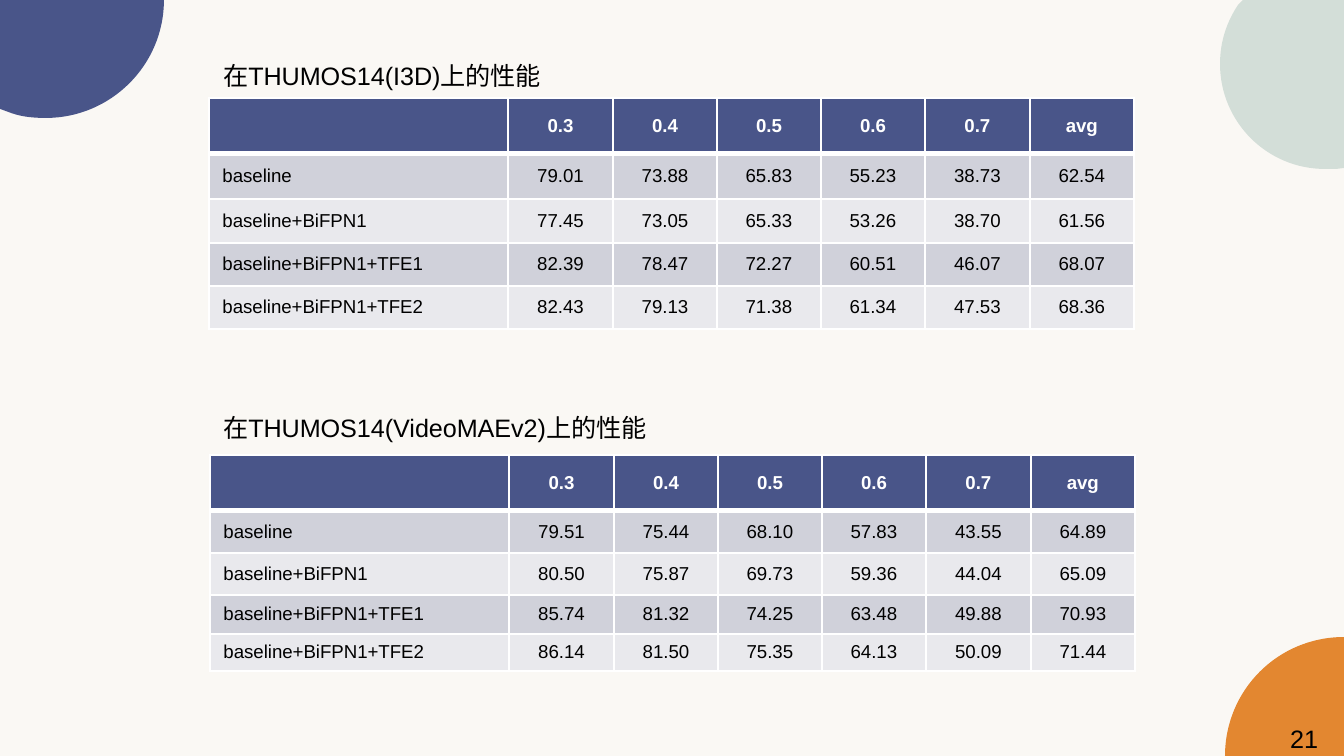
import lxml.etree
import pptx
import pptx.dml.color
import pptx.enum.text
import pptx.oxml.ns
import pptx.util

EMU_PER_PX = 914400 / 134.4
WIDTH, HEIGHT = 1344, 756
FONT = "Arial"
COLORS = {
    "background": "FAF8F4",
    "navy": "495589",
    "orange": "E38730",
    "sage": "D3DED8",
    "band_dark": "D0D1DA",
    "band_light": "E9E9ED",
    "white": "FFFFFF",
    "black": "000000",
}

# Each step is a line's end (x, y) or a curve's two control points and end.
NAVY_CORNER = [(0, 0), (164, 0), (164, 66, 110, 118, 46, 118), (34, 118, 22, 117, 11, 113), (0, 109)]
ORANGE_CORNER = [(WIDTH, 637), (1278, 637, 1225, 690, 1225, HEIGHT), (WIDTH, HEIGHT)]
SAGE_CORNER = [
    (1243, 0), (WIDTH, 0), (WIDTH, 168), (1336, 169), (1333, 169, 1329, 169, 1325, 169),
    (1267, 169, 1220, 122, 1220, 64), (1220, 43, 1226, 23, 1238, 5),
]

HEADER = ["", "0.3", "0.4", "0.5", "0.6", "0.7", "avg"]
COLUMN_WIDTHS = [299, 105, 104, 104, 104, 105, 104]
METHODS = ["baseline", "baseline+BiFPN1", "baseline+BiFPN1+TFE1", "baseline+BiFPN1+TFE2"]
I3D_SCORES = [
    "79.01 73.88 65.83 55.23 38.73 62.54",
    "77.45 73.05 65.33 53.26 38.70 61.56",
    "82.39 78.47 72.27 60.51 46.07 68.07",
    "82.43 79.13 71.38 61.34 47.53 68.36",
]
VIDEOMAE_SCORES = [
    "79.51 75.44 68.10 57.83 43.55 64.89",
    "80.50 75.87 69.73 59.36 44.04 65.09",
    "85.74 81.32 74.25 63.48 49.88 70.93",
    "86.14 81.50 75.35 64.13 50.09 71.44",
]


def px(n):
    return pptx.util.Emu(round(n * EMU_PER_PX))


def rgb(name):
    return pptx.dml.color.RGBColor.from_string(COLORS[name])


def qn(tag):
    return pptx.oxml.ns.qn(tag)


class SlideBuilder:
    def __init__(self, slide):
        self.slide = slide
        fill = slide.background.fill
        fill.solid()
        fill.fore_color.rgb = rgb("background")

    def outline(self, steps, color):
        """Draw a filled outline of lines and curves."""
        ends = [(px(step[-2]), px(step[-1])) for step in steps]
        builder = self.slide.shapes.build_freeform(*ends[0])
        builder.add_line_segments(ends[1:], close=True)
        sp = builder.convert_to_shape()
        sp.shadow.inherit = False
        sp.fill.solid()
        sp.fill.fore_color.rgb = rgb(color)
        sp.line.fill.background()
        segments = list(sp._element.iter(qn("a:lnTo")))
        for segment, step in zip(segments, steps[1:]):
            if len(step) == 6:
                self.curve(sp, segment, step)

    def curve(self, sp, segment, step):
        """Turn a line segment of a freeform into a cubic curve."""
        bezier = lxml.etree.Element(qn("a:cubicBezTo"))
        for x, y in zip(step[::2], step[1::2]):
            pt = lxml.etree.SubElement(bezier, qn("a:pt"))
            pt.set("x", str(px(x) - sp.left))
            pt.set("y", str(px(y) - sp.top))
        segment.getparent().replace(segment, bezier)

    def run(self, p, text, size, color="black", bold=False):
        r = p.add_run()
        r.text = text
        r.font.name = FONT
        r.font.size = pptx.util.Pt(size)
        r.font.bold = bold
        r.font.color.rgb = rgb(color)

    def text(self, left, top, width, text):
        sp = self.slide.shapes.add_textbox(px(left), px(top), px(width), px(44))
        tf = sp.text_frame
        tf.word_wrap = True
        tf.auto_size = pptx.enum.text.MSO_AUTO_SIZE.SHAPE_TO_FIT_TEXT
        self.run(tf.paragraphs[0], text, 13.5)

    def borders(self, cell, widths):
        """Add white borders, with widths in points by side (L, R, T, B)."""
        tc_pr = cell._tc.get_or_add_tcPr()
        for side, width in widths.items():
            ln = lxml.etree.SubElement(tc_pr, qn(f"a:ln{side}"))
            ln.set("w", str(pptx.util.Pt(width)))
            fill = lxml.etree.SubElement(ln, qn("a:solidFill"))
            color = lxml.etree.SubElement(fill, qn("a:srgbClr"))
            color.set("val", COLORS["white"])

    def cell(self, cell, text, row, column):
        self.borders(cell, {"L": 1, "R": 1, "T": 3 if row == 1 else 1, "B": 3 if row == 0 else 1})
        cell.fill.solid()
        band = "band_dark" if row % 2 else "band_light"
        cell.fill.fore_color.rgb = rgb(band if row else "navy")
        cell.vertical_anchor = pptx.enum.text.MSO_ANCHOR.MIDDLE
        if text:
            p = cell.text_frame.paragraphs[0]
            if column:
                p.alignment = pptx.enum.text.PP_ALIGN.CENTER
            self.run(p, text, 10, "black" if row else "white", bold=row == 0)

    def table(self, left, top, row_heights, scores):
        rows = [HEADER] + [[method, *line.split()] for method, line in zip(METHODS, scores)]
        table = self.slide.shapes.add_table(
            len(rows), len(HEADER), px(left), px(top), px(sum(COLUMN_WIDTHS)), px(sum(row_heights))
        ).table
        for column, width in zip(table.columns, COLUMN_WIDTHS):
            column.width = px(width)
        for i, (height, values) in enumerate(zip(row_heights, rows)):
            table.rows[i].height = px(height)
            for j, value in enumerate(values):
                self.cell(table.cell(i, j), value, i, j)


def main():
    prs = pptx.Presentation()
    prs.slide_width, prs.slide_height = px(WIDTH), px(HEIGHT)
    s = SlideBuilder(prs.slides.add_slide(prs.slide_layouts[6]))

    s.outline(NAVY_CORNER, "navy")
    s.outline(ORANGE_CORNER, "orange")
    s.outline(SAGE_CORNER, "sage")

    s.table(209, 98, [56, 45, 44, 43, 43], I3D_SCORES)
    s.text(210, 54, 448, "在THUMOS14(I3D)上的性能")
    s.table(210, 455, [56, 42, 42, 39, 37], VIDEOMAE_SCORES)
    s.text(210, 406, 484, "在THUMOS14(VideoMAEv2)上的性能")
    s.text(1277, 717, 60, "21")

    prs.save("out.pptx")


if __name__ == "__main__":
    main()
